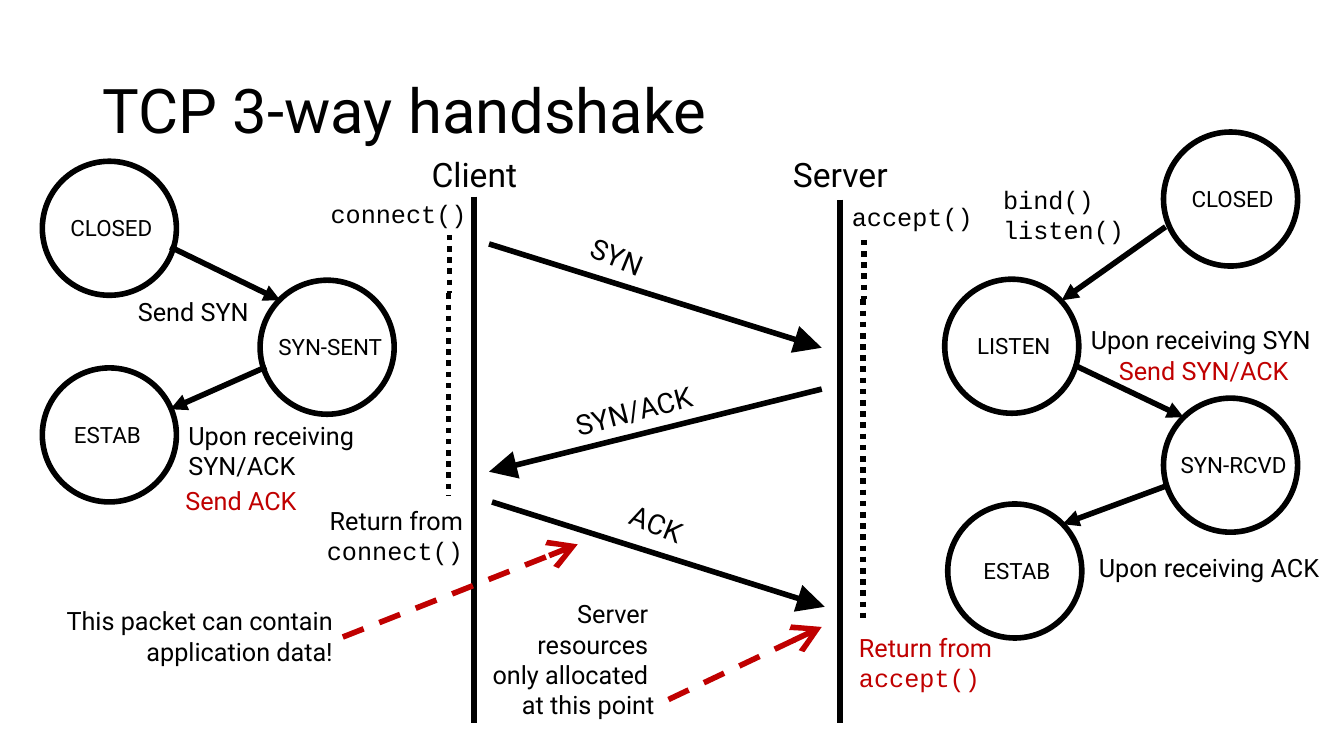
"""Build the TCP 3-way handshake slide with sequence diagram and state machines."""
import pptx
import pptx.dml.color
import pptx.enum.dml
import pptx.enum.shapes
import pptx.enum.text
import pptx.oxml.ns
import pptx.util
import lxml.etree

BLACK = pptx.dml.color.RGBColor(0, 0, 0)
RED = pptx.dml.color.RGBColor(0xC0, 0, 0)
ALIGN = pptx.enum.text.PP_ALIGN
ANCHOR = pptx.enum.text.MSO_ANCHOR
DASH = pptx.enum.dml.MSO_LINE
SANS, MONO = "Roboto", "Courier New"
inch = pptx.util.Inches

WIDTH, HEIGHT = 13.33, 7.5
CLIENT, SERVER, FOOT = 4.7, 8.33, 7.17
DIAMETER = 1.33
STROKE = 4

HOSTS = [("Client", CLIENT, 1.95), ("Server", SERVER, 1.98)]

MESSAGES = [
    ((4.85, 2.42), (8.15, 3.45)),
    ((8.15, 3.86), (4.85, 4.68)),
    ((4.88, 4.98), (8.18, 6.02)),
]
MESSAGE_LABELS = [
    ("SYN", 5.75, 2.36, 0.9, 22.1),
    ("SYN/ACK", 5.59, 3.81, 1.75, -14.4),
    ("ACK", 6.14, 5.01, 0.9, 22.1),
]

STATES = [
    ("CLOSED", 0.42, 1.6, 0.02),
    ("SYN-SENT", 2.58, 2.78, 0.03),
    ("ESTAB", 0.42, 3.65, -0.02),
    ("CLOSED", 11.54, 1.31, 0.02),
    ("LISTEN", 9.37, 2.77, 0.02),
    ("SYN-RCVD", 11.54, 3.95, 0.03),
    ("ESTAB", 9.4, 5, 0.02),
]
TRANSITIONS = [
    ((1.69, 2.45), (2.78, 2.98)),
    ((2.64, 3.64), (1.69, 4.06)),
    ((11.56, 2.25), (10.53, 2.98)),
    ((10.65, 3.62), (11.74, 4.14)),
    ((11.57, 4.82), (10.54, 5.2)),
]

WAITS = [
    (4.46, 2.33, 2.91), (4.45, 2.91, 4.92),
    (8.57, 2.38, 2.97), (8.56, 2.97, 6.18),
]
POINTERS = [
    ((3.4, 6.32), (5.73, 5.4)),
    ((6.63, 6.94), (8.15, 6.22)),
]

MONO_TEXT = dict(fonts=(MONO,))
RIGHT_TEXT = dict(align=ALIGN.RIGHT)
RED_TEXT = dict(color=RED)
NOTES = [
    ("connect()", 3.18, 1.92, 1.7, MONO_TEXT),
    ("accept()", 8.35, 1.95, 1.44, MONO_TEXT),
    ("bind()\nlisten()", 9.85, 1.78, 1.44, MONO_TEXT),
    ("Send SYN", 1.27, 2.89, 1.7, {}),
    ("Upon receiving SYN/ACK", 1.77, 4.12, 2.69, dict(rows=2)),
    ("Send ACK", 1.74, 4.77, 2.69, RED_TEXT),
    ("Upon receiving SYN", 10.72, 3.17, 2.61, {}),
    ("Send SYN/ACK", 11, 3.48, 2.3, RED_TEXT),
    ("Upon receiving ACK", 10.8, 5.43, 2.53, {}),
    ("Return from\nconnect()", 2.74, 4.96, 1.95,
     dict(fonts=(SANS, MONO), **RIGHT_TEXT)),
    ("Return from\naccept()", 8.42, 6.22, 1.95,
     dict(fonts=(SANS, MONO), **RED_TEXT)),
    ("This packet can contain application data!", 0.42, 5.96, 2.98,
     dict(rows=2, **RIGHT_TEXT)),
    ("Server \nresources \nonly allocated \nat this point", 4.68, 5.89, 1.91,
     RIGHT_TEXT),
]


def write(parent, text, left, top, width, height=None, rows=None, size=18,
          fonts=(SANS,), color=BLACK, align=ALIGN.LEFT, anchor=ANCHOR.TOP,
          turn=0, spacing=None):
    """Add a text box; each line takes its font from fonts, the last one repeating."""
    lines = text.split("\n")
    height = height or 0.1 + (rows or len(lines)) * size / 60
    box = parent.add_textbox(inch(left), inch(top), inch(width), inch(height))
    box.rotation = turn
    frame = box.text_frame
    frame.word_wrap = True
    frame.vertical_anchor = anchor
    for index, line in enumerate(lines):
        paragraph = frame.add_paragraph() if index else frame.paragraphs[0]
        paragraph.alignment = align
        paragraph.line_spacing = spacing
        run = paragraph.add_run()
        run.text = line
        run.font.size = pptx.util.Pt(size)
        run.font.name = fonts[min(index, len(fonts) - 1)]
        run.font.color.rgb = color


def connect(start, end, color=BLACK, dash=None, head=None, head_size="med"):
    """Draw a straight line, with an arrowhead at its end if head is given."""
    link = slide.shapes.add_connector(
        pptx.enum.shapes.MSO_CONNECTOR.STRAIGHT,
        *(inch(value) for value in (*start, *end)))
    link.line.color.rgb = color
    link.line.width = pptx.util.Pt(STROKE)
    if dash:
        link.line.dash_style = dash
    if head:
        lxml.etree.SubElement(link.line._get_or_add_ln(),
                              pptx.oxml.ns.qn("a:tailEnd"),
                              type=head, w=head_size, len=head_size)
    lxml.etree.SubElement(link._element.spPr, pptx.oxml.ns.qn("a:effectLst"))


def draw_state(name, left, top, shift):
    """Group a state's circle with its label, nudged sideways by shift."""
    group = slide.shapes.add_group_shape().shapes
    circle = group.add_shape(pptx.enum.shapes.MSO_SHAPE.OVAL, inch(left),
                             inch(top), inch(DIAMETER), inch(DIAMETER))
    circle.shadow.inherit = False
    circle.fill.background()
    circle.line.color.rgb = BLACK
    circle.line.width = pptx.util.Pt(STROKE)
    label_width, label_height = 1.62, 0.37
    write(group, name, left + (DIAMETER - label_width) / 2 + shift,
          top + (DIAMETER - label_height) / 2, label_width, label_height,
          size=16, align=ALIGN.CENTER)


deck = pptx.Presentation()
deck.slide_width, deck.slide_height = inch(WIDTH), inch(HEIGHT)
slide = deck.slides.add_slide(deck.slide_layouts[6])

write(slide.shapes, "TCP 3-way handshake", 0.92, 0.4, 11.5, 1.45, size=44,
      anchor=ANCHOR.MIDDLE, spacing=0.9)
for host, x, top in HOSTS:
    connect((x, top), (x, FOOT))
    write(slide.shapes, host, x - 0.93, 1.48, 1.87, size=24, align=ALIGN.CENTER)
for start, end in MESSAGES:
    connect(start, end, head="triangle", head_size="lg")
for message, left, top, width, turn in MESSAGE_LABELS:
    write(slide.shapes, message, left, top, width, size=20, turn=turn)
for state in STATES:
    draw_state(*state)
for start, end in TRANSITIONS:
    connect(start, end, head="triangle")
for x, top, bottom in WAITS:
    connect((x, top), (x, bottom), dash=DASH.ROUND_DOT)
for note, left, top, width, style in NOTES:
    write(slide.shapes, note, left, top, width, **style)
for start, end in POINTERS:
    connect(start, end, color=RED, dash=DASH.DASH, head="arrow", head_size="lg")

deck.save("out.pptx")
